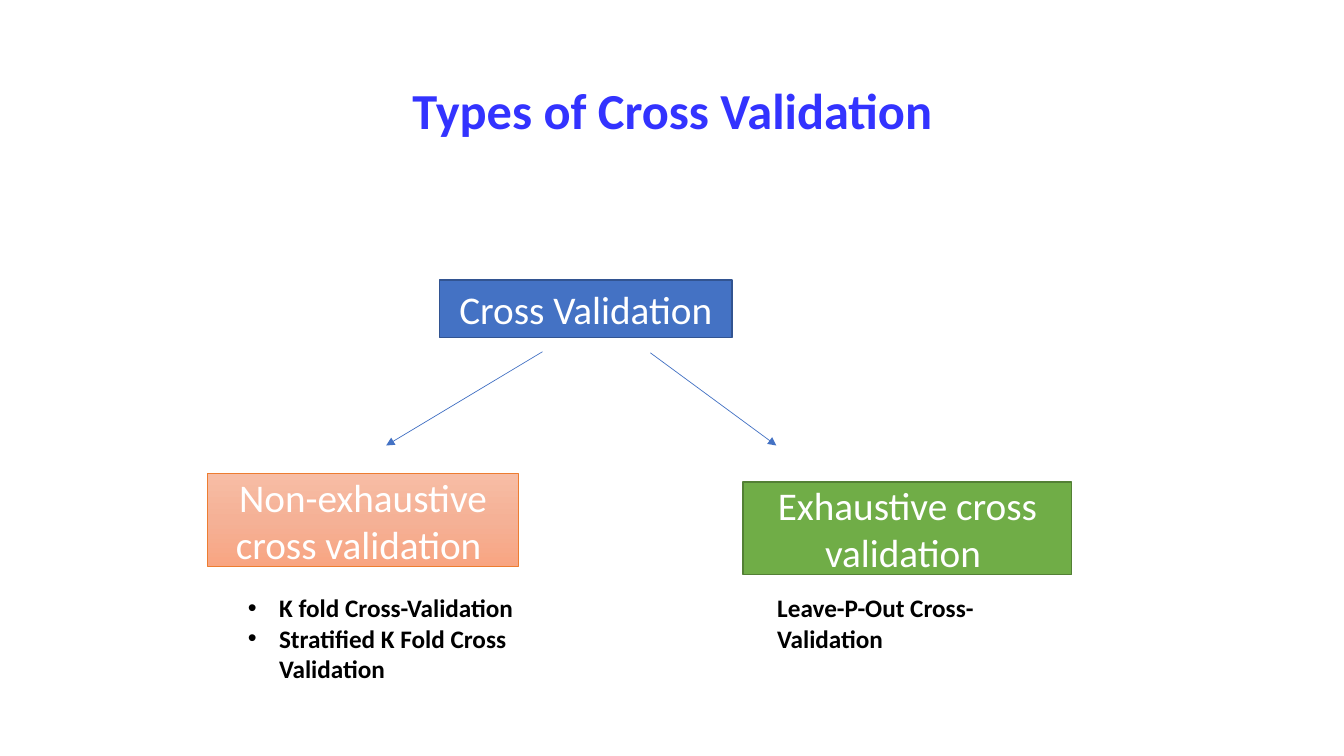
from copy import deepcopy

from lxml import etree
from pptx import Presentation
from pptx.dml.color import RGBColor
from pptx.enum.shapes import MSO_CONNECTOR, MSO_SHAPE
from pptx.enum.text import MSO_ANCHOR, MSO_AUTO_SIZE, PP_ALIGN
from pptx.oxml.ns import qn
from pptx.util import Inches, Pt

RECTANGLE = MSO_SHAPE.RECTANGLE
STRAIGHT = MSO_CONNECTOR.STRAIGHT
MIDDLE, TOP = MSO_ANCHOR.MIDDLE, MSO_ANCHOR.TOP
CENTER, LEFT = PP_ALIGN.CENTER, PP_ALIGN.LEFT
FIT_SHAPE = MSO_AUTO_SIZE.SHAPE_TO_FIT_TEXT

# Content: places are left, top, width, height in inches
TITLE = "Types of Cross Validation"
TITLE_PLACE = (0.92, 0.4, 11.5, 1.45)
NODES = [  # text, place, fill colours, line colour, line width
    ("Cross Validation", (4.36, 2.78, 2.9, 0.57), ["4472C4"], "325491", 1),
    ("Non-exhaustive cross validation ", (2.06, 4.7, 3.08, 0.92),
     ["F7BDA5", "F5B196", "F8A582"], "ED7D31", 0.5),
    ("Exhaustive cross validation ", (7.37, 4.78, 3.26, 0.92),
     ["70AD47"], "538035", 1),
]
ARROWS = [(5.38, 3.49, 3.83, 4.42), (6.45, 3.5, 7.7, 4.42)]
ARROW_COLOR = "4472C4"
METHODS = [  # lines, place, bulleted
    (["Leave-P-Out Cross-Validation"], (7.61, 5.83, 3.02, 0.71), False),
    (["K fold Cross-Validation", "Stratified K Fold Cross Validation"],
     (2.36, 5.83, 3.02, 1.01), True),
]


def color(value):
    return RGBColor.from_string(value)


def inches(values):
    return [Inches(value) for value in values]


def add_bullet(para):
    properties = para._p.get_or_add_pPr()
    properties.set("marL", str(Inches(0.31)))
    properties.set("indent", str(-Inches(0.31)))
    etree.SubElement(properties, qn("a:buFont"), typeface="Arial")
    etree.SubElement(properties, qn("a:buChar"), char="•")


def write(shape, lines, size, ink="000000", bold=False, align=LEFT,
          anchor=TOP, bullet=False, spacing=None):
    frame = shape.text_frame
    frame.word_wrap = True
    frame.vertical_anchor = anchor
    for index, line in enumerate(lines):
        para = frame.add_paragraph() if index else frame.paragraphs[0]
        if bullet:
            add_bullet(para)
        para.alignment = align
        if spacing:
            para.line_spacing = spacing
        span = para.add_run()
        span.text = line
        span.font.name = "Calibri"
        span.font.size = Pt(size)
        span.font.bold = bold
        span.font.color.rgb = color(ink)


def paint(fill, colors):
    if len(colors) == 1:
        fill.solid()
        fill.fore_color.rgb = color(colors[0])
        return
    fill.gradient()
    fill.gradient_angle = 270
    first = fill.gradient_stops[0]._gs
    for _ in colors[2:]:
        first.addnext(deepcopy(first))
    for index, (stop, value) in enumerate(zip(fill.gradient_stops, colors)):
        stop.position = index / (len(colors) - 1)
        stop.color.rgb = color(value)


deck = Presentation()
deck.slide_width, deck.slide_height = Inches(13.33), Inches(7.5)
slide = deck.slides.add_slide(deck.slide_layouts[5])

# Title
title = slide.shapes.title
title.left, title.top, title.width, title.height = inches(TITLE_PLACE)
write(title, [TITLE], 36, ink="3333FF", bold=True, align=CENTER,
      anchor=MIDDLE, spacing=0.9)

# Tree boxes
for text, place, fills, line_color, line_width in NODES:
    node = slide.shapes.add_shape(RECTANGLE, *inches(place))
    node.shadow.inherit = False
    paint(node.fill, fills)
    node.line.color.rgb = color(line_color)
    node.line.width = Pt(line_width)
    write(node, [text], 28, ink="FFFFFF", align=CENTER, anchor=MIDDLE)

# Arrows from the root to its branches
for ends in ARROWS:
    arrow = slide.shapes.add_connector(STRAIGHT, *inches(ends))
    arrow.line.color.rgb = color(ARROW_COLOR)
    arrow.line.width = Pt(0.5)
    etree.SubElement(arrow.line._get_or_add_ln(), qn("a:tailEnd"), type="triangle")
    etree.SubElement(arrow._element.spPr, qn("a:effectLst"))

# Methods under each branch
for lines, place, bulleted in METHODS:
    box = slide.shapes.add_textbox(*inches(place))
    write(box, lines, 18, bold=True, bullet=bulleted)
    box.text_frame.auto_size = FIT_SHAPE

deck.save("out.pptx")
